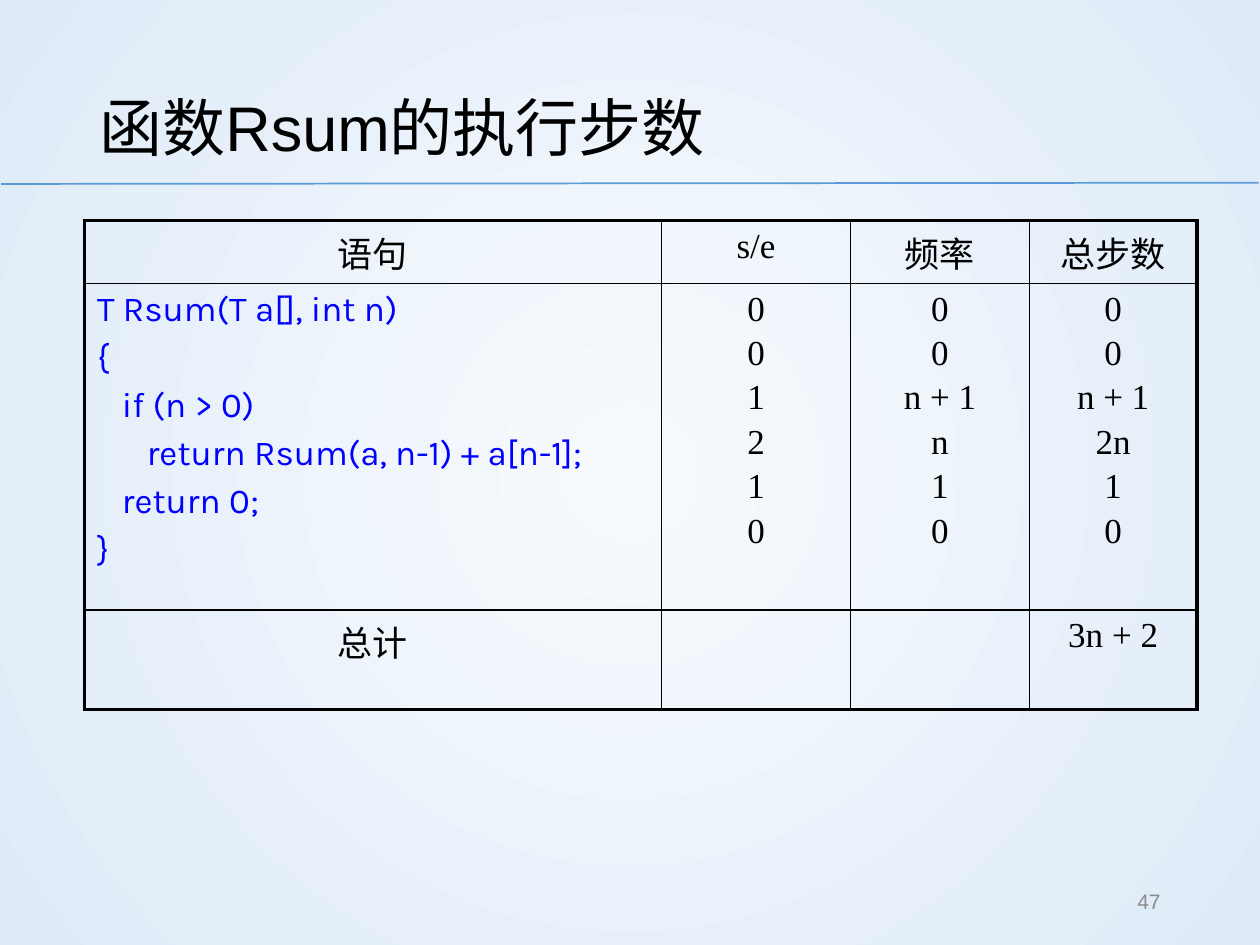
from lxml import etree
from pptx import Presentation
from pptx.dml.color import RGBColor
from pptx.enum.shapes import MSO_CONNECTOR
from pptx.enum.text import MSO_ANCHOR, PP_ALIGN
from pptx.oxml.ns import qn
from pptx.util import Inches, Pt

LEFT, CENTER, RIGHT = PP_ALIGN.LEFT, PP_ALIGN.CENTER, PP_ALIGN.RIGHT
MIDDLE = MSO_ANCHOR.MIDDLE
STRAIGHT = MSO_CONNECTOR.STRAIGHT

BLACK = RGBColor(0x00, 0x00, 0x00)
CODE_BLUE = RGBColor(0x00, 0x00, 0xFF)
RULE_BLUE = RGBColor(0x5B, 0x9B, 0xD5)
NUMBER_GRAY = RGBColor(0x8C, 0x8C, 0x8C)
GLOW = RGBColor(0xF7, 0xFA, 0xFD)
EDGE = RGBColor(0xDE, 0xEB, 0xF7)

TITLE = "函数Rsum的执行步数"
PAGE_NUMBER = "47"
CODE = [
    "T Rsum(T a[], int n)",
    "{",
    "   if (n > 0)",
    "      return Rsum(a, n-1) + a[n-1];",
    "   return 0;",
    "}",
]
STEP_ROWS = [
    [["语句"], ["s/e"], ["频率"], ["总步数"]],
    [
        CODE,
        ["0", "0", "1", "2", "1", "0"],
        ["0", "0", "n + 1", "n", "1", "0"],
        ["0", "0", "n + 1", "2n", "1", "0"],
    ],
    [["总计"], [], [], ["3n + 2"]],
]
COLUMN_WIDTHS = [4.58, 1.5, 1.42, 1.33]
ROW_HEIGHTS = [0.5, 2.59, 0.79]
OUTER_LINE, INNER_LINE = 2.25, 1

TITLE_FONT = {"name": "Arial", "size": Pt(36), "color": BLACK}
NUMBER_FONT = {"name": "Arial", "size": Pt(12), "color": NUMBER_GRAY}
CELL_FONT = {"name": "Times New Roman", "size": Pt(20), "color": BLACK}
CODE_FONT = {"name": "Karla", "size": Pt(20), "color": CODE_BLUE}


def write(frame, lines, font, align, gap=0, spacing=None):
    for index, line in enumerate(lines):
        paragraph = frame.add_paragraph() if index else frame.paragraphs[0]
        paragraph.alignment = align
        paragraph.line_spacing = spacing
        if index:
            paragraph.space_before = Pt(gap)
        run = paragraph.add_run()
        run.text = line
        for key, value in font.items():
            if key == "color":
                run.font.color.rgb = value
            else:
                setattr(run.font, key, value)


def add_text(slide, box, line, font, align, spacing=None):
    frame = slide.shapes.add_textbox(*map(Inches, box)).text_frame
    frame.word_wrap = True
    frame.vertical_anchor = MIDDLE
    write(frame, [line], font, align, spacing=spacing)


def paint_background(slide):
    fill = slide.background.fill
    fill.gradient()
    for stop, color, position in zip(fill.gradient_stops, (GLOW, EDGE), (0, 1)):
        stop.color.rgb = color
        stop.position = position
    gradient = slide.element.find(".//" + qn("a:gradFill"))
    gradient.remove(gradient.find(qn("a:lin")))
    circle = etree.SubElement(gradient, qn("a:path"), {"path": "circle"})
    center = dict.fromkeys("ltrb", "50000")
    etree.SubElement(circle, qn("a:fillToRect"), center)


def border_cell(cell, widths):
    properties = cell._tc.get_or_add_tcPr()
    for side, width in widths.items():
        line = etree.SubElement(properties, qn("a:ln" + side), {"w": str(Pt(width))})
        fill = etree.SubElement(line, qn("a:solidFill"))
        etree.SubElement(fill, qn("a:srgbClr"), {"val": str(BLACK)})


def add_step_table(slide):
    last_row, last_column = len(ROW_HEIGHTS) - 1, len(COLUMN_WIDTHS) - 1
    box = (0.67, 1.75, sum(COLUMN_WIDTHS), sum(ROW_HEIGHTS))
    table = slide.shapes.add_table(
        last_row + 1, last_column + 1, *map(Inches, box)
    ).table
    table.first_row = table.horz_banding = False
    for column, width in zip(table.columns, COLUMN_WIDTHS):
        column.width = Inches(width)
    for row, height in zip(table.rows, ROW_HEIGHTS):
        row.height = Inches(height)
    for r, row in enumerate(STEP_ROWS):
        for c, lines in enumerate(row):
            cell = table.cell(r, c)
            outer = {"L": c == 0, "R": c == last_column, "T": r == 0, "B": r == last_row}
            border_cell(
                cell,
                {side: OUTER_LINE if out else INNER_LINE for side, out in outer.items()},
            )
            cell.fill.background()
            if lines is CODE:
                write(cell.text_frame, lines, CODE_FONT, LEFT, gap=4)
            else:
                write(cell.text_frame, lines, CELL_FONT, CENTER, gap=3.2)


def add_title_rule(slide):
    ends = map(Inches, (0.01, 1.46, 9.99, 1.45))
    rule = slide.shapes.add_connector(STRAIGHT, *ends)
    rule.line.color.rgb = RULE_BLUE
    rule.line.width = Pt(1)
    etree.SubElement(rule.element.spPr, qn("a:effectLst"))


def main():
    deck = Presentation()
    deck.slide_width, deck.slide_height = Inches(10), Inches(7.5)
    slide = deck.slides.add_slide(deck.slide_layouts[6])
    paint_background(slide)
    add_title_rule(slide)
    add_text(slide, (0.69, 0.4, 8.62, 1.08), TITLE, TITLE_FONT, LEFT, spacing=1.2)
    add_text(slide, (7.06, 6.95, 2.25, 0.4), PAGE_NUMBER, NUMBER_FONT, RIGHT)
    add_step_table(slide)
    deck.save("out.pptx")


if __name__ == "__main__":
    main()
